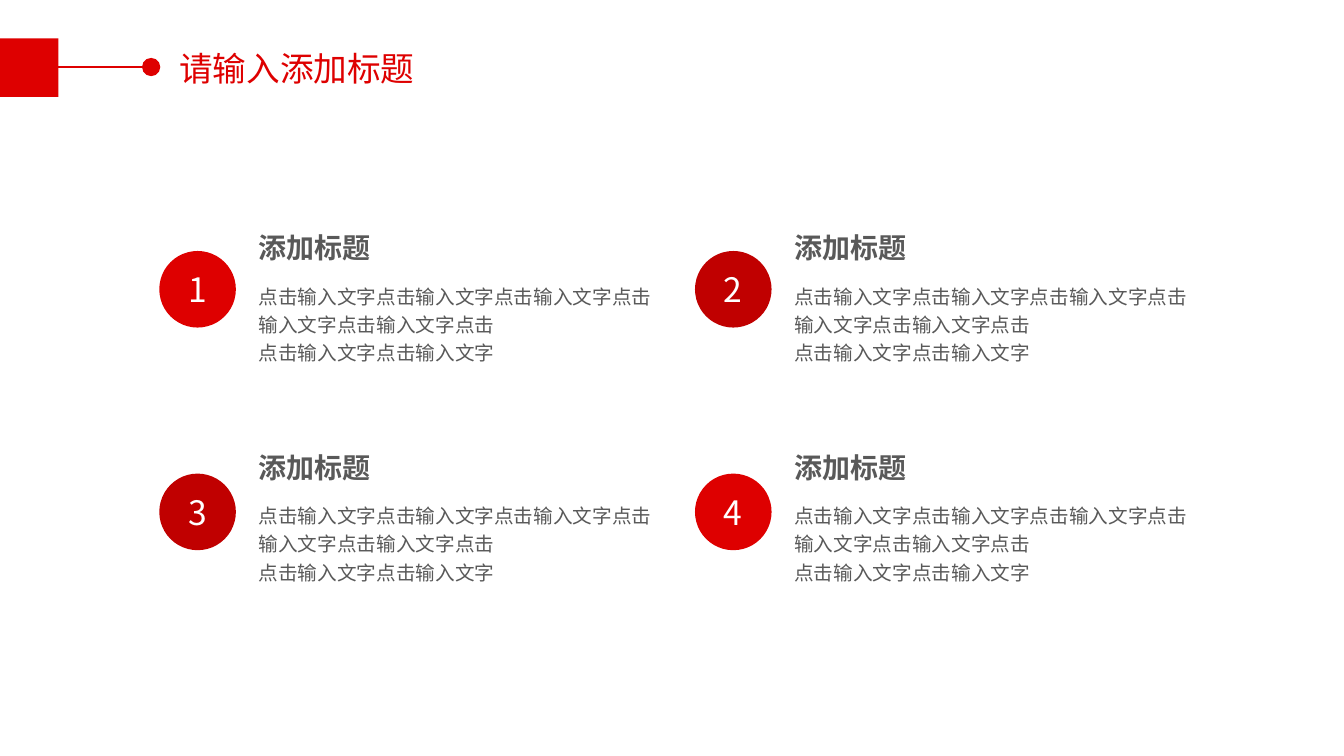
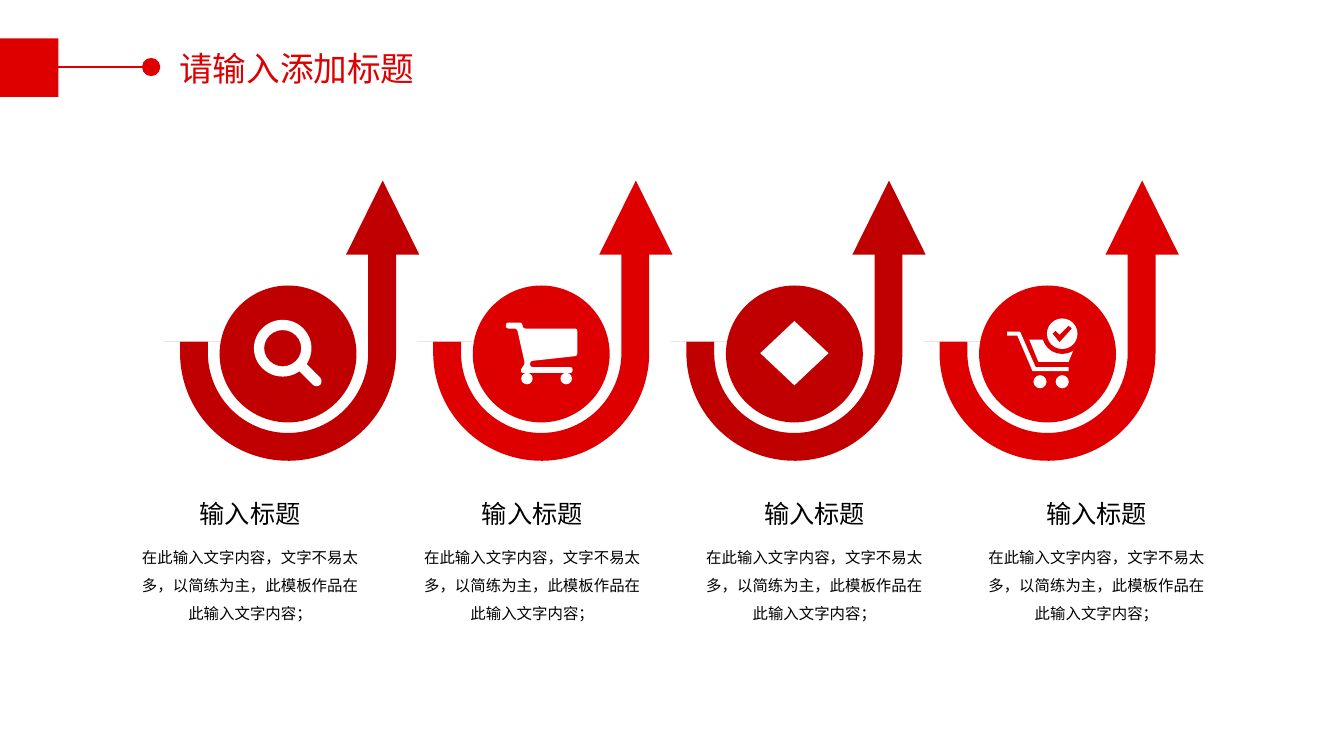
from lxml import etree
from pptx import Presentation
from pptx.dml.color import RGBColor
from pptx.enum import shapes, text
from pptx.oxml.ns import qn
from pptx.util import Cm, Pt

RED, DARK_RED = "DE0000", "C00000"
WHITE, GREY, BLACK = "FFFFFF", "595959", "000000"
FONT = "Noto Sans CJK SC"
SHAPE = shapes.MSO_SHAPE
CENTER = text.PP_ALIGN.CENTER
MIDDLE = text.MSO_ANCHOR.MIDDLE


def rgb(value):
    return RGBColor.from_string(value)


def rounded(points, radius):
    """Replace each corner by a short quadratic curve."""
    result = []
    for i, (x, y) in enumerate(points):
        ends = []
        for nx, ny in (points[i - 1], points[(i + 1) % len(points)]):
            length = ((nx - x) ** 2 + (ny - y) ** 2) ** 0.5
            part = min(radius / length, 0.5)
            ends.append((x + (nx - x) * part, y + (ny - y) * part))
        (ax, ay), (bx, by) = ends
        for t in (0, 0.25, 0.5, 0.75, 1):
            a, c, b = (1 - t) ** 2, 2 * t * (1 - t), t ** 2
            result.append((a * ax + c * x + b * bx, a * ay + c * y + b * by))
    return result


class Deck:
    """Holds the shared style and the current page; lengths are centimetres."""

    def __init__(self):
        self.file = Presentation()
        self.file.slide_width, self.file.slide_height = Cm(33.87), Cm(19.05)
        self.page = None

    def new_page(self, title):
        self.page = self.file.slides.add_slide(self.file.slide_layouts[6])
        self.line(0, 1.69, 3.76, 1.69, RED)
        self.disc(3.81, 1.69, 0.46, RED)
        self.label(4.27, 1.09, 8.43, 1.27, [title], 24, RED)
        self.shape(SHAPE.RECTANGLE, 0, 0.97, 1.47, 1.47, RED)

    def paint(self, shape, color):
        shape.shadow.inherit = False
        shape.fill.solid()
        shape.fill.fore_color.rgb = rgb(color)
        shape.line.fill.background()
        return shape

    def shape(self, kind, left, top, width, height, color, turn=0, adjust=()):
        shape = self.page.shapes.add_shape(
            kind, Cm(left), Cm(top), Cm(width), Cm(height))
        shape.rotation = turn
        for i, value in enumerate(adjust):
            shape.adjustments[i] = value
        return self.paint(shape, color)

    def disc(self, x, y, size, color):
        return self.shape(SHAPE.OVAL, x - size / 2, y - size / 2, size, size, color)

    def outline(self, x, y, points, color):
        places = [(Cm(x + dx), Cm(y + dy)) for dx, dy in points]
        builder = self.page.shapes.build_freeform(*places[0])
        builder.add_line_segments(places[1:], close=True)
        return self.paint(builder.convert_to_shape(), color)

    def line(self, x1, y1, x2, y2, color):
        line = self.page.shapes.add_connector(
            shapes.MSO_CONNECTOR.STRAIGHT, Cm(x1), Cm(y1), Cm(x2), Cm(y2))
        line.line.color.rgb = rgb(color)
        line.line.width = Pt(1)
        etree.SubElement(line._element.spPr, qn("a:effectLst"))

    def set_text(self, frame, lines, size, color, align=None, spacing=None, bold=False):
        frame.text = "\n".join(lines)
        for para in frame.paragraphs:
            para.alignment = align
            para.line_spacing = spacing
            for span in para.runs:
                font = span.font
                font.size, font.bold, font.name = Pt(size), bold, FONT
                font.color.rgb = rgb(color)
                east = etree.SubElement(span._r.get_or_add_rPr(), qn("a:ea"))
                east.set("typeface", FONT)

    def label(self, left, top, width, height, lines, size, color, **style):
        box = self.page.shapes.add_textbox(Cm(left), Cm(top), Cm(width), Cm(height))
        box.text_frame.word_wrap = True
        self.set_text(box.text_frame, lines, size, color, **style)

    def number(self, x, y, value, color):
        frame = self.disc(x, y, 1.93, color).text_frame
        frame.margin_left = frame.margin_right = 0
        frame.margin_top = frame.margin_bottom = 0
        frame.vertical_anchor = MIDDLE
        self.set_text(frame, [value], 24, WHITE, align=CENTER)

    def hook_arrow(self, x, y, color):
        self.disc(x, y, 3.45, color)
        self.shape(SHAPE.U_TURN_ARROW, x - 3.12, y - 3.1, 5.84, 5.79, color,
                   turn=180, adjust=(0.121, 0.129, 0, 0.471, 0.518))
        self.shape(SHAPE.ISOSCELES_TRIANGLE, x + 1.46, y - 4.37, 1.85, 1.87, color)

    # Icons, drawn around the centre of their disc
    def magnifier(self, x, y, color):
        self.shape(SHAPE.DONUT, x - 0.86, y - 0.86, 1.45, 1.43, WHITE, adjust=(0.18,))
        self.shape(SHAPE.ROUNDED_RECTANGLE, x + 0.16, y + 0.38, 0.76, 0.26, WHITE,
                   turn=45, adjust=(0.5,))

    def cart(self, x, y, color):
        frame = [(-0.89, -0.79), (-0.48, -0.79), (-0.46, -0.64), (0.91, -0.64),
                 (0.91, 0.05), (-0.28, 0.18), (-0.28, 0.33), (0.79, 0.33),
                 (0.79, 0.48), (-0.51, 0.48), (-0.51, 0.38), (-0.41, 0.25),
                 (-0.61, -0.64), (-0.89, -0.64)]
        self.outline(x, y, rounded(frame, 0.07), WHITE)
        for dx in (-0.36, 0.63):
            self.disc(x + dx, y + 0.62, 0.29, WHITE)

    def diamond(self, x, y, color):
        self.shape(SHAPE.DIAMOND, x - 0.86, y - 0.83, 1.72, 1.62, WHITE)

    def checked_cart(self, x, y, color):
        frame = [(0.53, 0.43), (-0.38, 0.43), (-0.76, -0.46), (-1.02, -0.46),
                 (-1.02, -0.56), (-0.69, -0.56), (-0.3, 0.33), (0.53, 0.33)]
        basket = [(-0.46, -0.36), (0.76, -0.36), (0.53, 0.2), (-0.23, 0.2)]
        check = [(0.3, -0.3), (0.13, -0.51), (0.2, -0.58), (0.3, -0.48),
                 (0.53, -0.71), (0.61, -0.64)]
        self.outline(x, y, frame, WHITE)
        self.outline(x, y, basket, WHITE)
        for dx in (-0.19, 0.37):
            self.disc(x + dx, y + 0.7, 0.33, WHITE)
        for size, tint in ((1.02, color), (0.77, WHITE)):
            self.disc(x + 0.37, y - 0.51, size, tint)
        self.outline(x, y, check, color)


def numbered_page(deck):
    deck.new_page("请输入添加标题")
    body = ["点击输入文字" * 5 + "点击", "点击输入文字" * 2]
    for i, color in enumerate((RED, DARK_RED, DARK_RED, RED)):
        row, column = divmod(i, 2)
        x, y = 13.5 * column, 5.53 * row
        deck.number(4.98 + x, 7.29 + 5.61 * row, str(i + 1), color)
        deck.label(6.27 + x, 5.69 + y, 5.54, 1.12, ["添加标题"], 20, GREY, bold=True)
        deck.label(6.27 + x, 6.93 + y, 10.62, 2.41, body, 14, GREY, spacing=1.2)


def arrow_page(deck):
    deck.new_page("请输入添加标题")
    body = ["在此输入文字内容，文字不易太多，以简练为主，此模板作品在此输入文字内容；"]
    icons = (deck.magnifier, deck.cart, deck.diamond, deck.checked_cart)
    for i, icon in enumerate(icons):
        color = RED if i % 2 else DARK_RED
        x, y = 7.26 + 6.38 * i, 8.92
        deck.hook_arrow(x, y, color)
        icon(x, y, color)
        left = 3.28 + 7.11 * i
        deck.label(left, 13.46, 6.05, 2.36, body, 11, BLACK, align=CENTER, spacing=1.5)
        deck.label(left, 12.42, 6.05, 1.02, ["输入标题"], 18, BLACK, align=CENTER)


def main():
    deck = Deck()
    numbered_page(deck)
    arrow_page(deck)
    deck.file.save("out.pptx")


if __name__ == "__main__":
    main()
